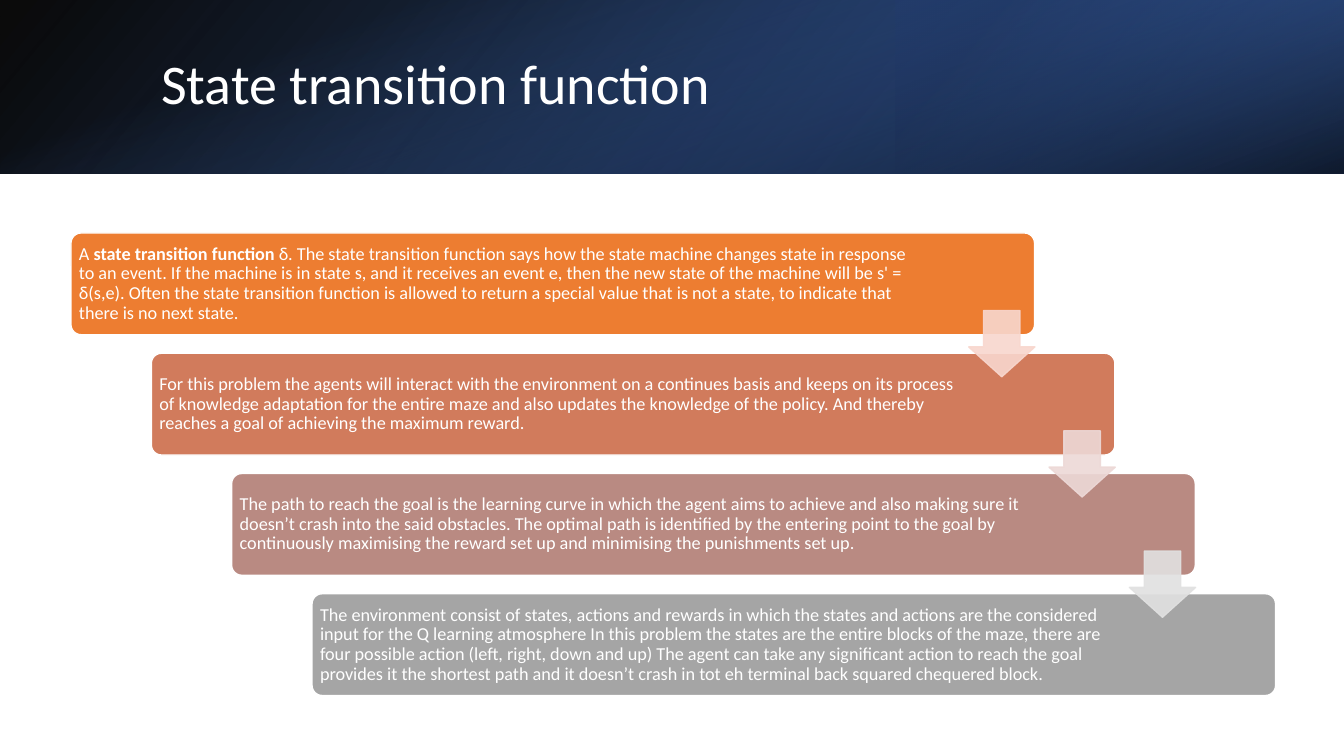
from dataclasses import dataclass

import lxml.etree
import pptx
import pptx.dml.color
import pptx.enum.shapes
import pptx.enum.text
import pptx.oxml.ns
import pptx.util

Pt = pptx.util.Pt
RGBColor = pptx.dml.color.RGBColor
Shapes = pptx.enum.shapes.MSO_SHAPE
qn = pptx.oxml.ns.qn

FONT = "Calibri"
WHITE = RGBColor(0xFF, 0xFF, 0xFF)
BLACK = RGBColor(0x00, 0x00, 0x00)
BLUE = RGBColor(0x44, 0x72, 0xC4)
MID_BLUE = RGBColor(0x2F, 0x55, 0x97)
DARK_BLUE = RGBColor(0x20, 0x38, 0x64)
ORANGE = RGBColor(0xED, 0x7D, 0x31)
TERRACOTTA = RGBColor(0xD1, 0x7B, 0x5C)
DUSTY_ROSE = RGBColor(0xB9, 0x8A, 0x82)
GRAY = RGBColor(0xA5, 0xA5, 0xA5)
PEACH = RGBColor(0xF8, 0xD7, 0xCE)
PALE_ROSE = RGBColor(0xED, 0xD9, 0xD7)
PALE_GRAY = RGBColor(0xE1, 0xE1, 0xE1)

SLIDE_WIDTH, SLIDE_HEIGHT = 960, 540
BANNER_HEIGHT = 124
STEP_LEFT, STEP_TOP = 50.7, 166.4
STEP_WIDTH, STEP_HEIGHT = 688.3, 72.7
STEP_RIGHT, STEP_DOWN = 57.4, 85.9
TEXT_OFFSET = 2.1
ARROW_LEFT, ARROW_TOP, ARROW_SIZE = 691.9, 221.8, 47.3


@dataclass
class Stop:
    position: float
    color: RGBColor
    opacity: int


@dataclass
class BannerLayer:
    left: float
    top: float
    width: float
    height: float
    rotation: int
    flipped: bool
    angle: int
    stops: tuple[Stop, Stop]


@dataclass
class Step:
    color: RGBColor
    text_width: float
    text: str
    bold: str = ""
    arrow_color: RGBColor | None = None


BANNER = [
    BannerLayer(0, 0, SLIDE_WIDTH, BANNER_HEIGHT, 0, True, 140,
                (Stop(0, BLACK, 96), Stop(1, MID_BLUE, 100))),
    BannerLayer(640, 0, 320, BANNER_HEIGHT, 180, True, 320,
                (Stop(0.19, DARK_BLUE, 68), Stop(1, BLUE, 79))),
    BannerLayer((SLIDE_WIDTH - BANNER_HEIGHT) / 2, (BANNER_HEIGHT - SLIDE_WIDTH) / 2,
                BANNER_HEIGHT, SLIDE_WIDTH, 90, False, 340,
                (Stop(0.23, BLUE, 0), Stop(0.99, BLACK, 74))),
]

STEPS = [
    Step(ORANGE, 604,
         "A state transition function δ. The state transition function says how the state "
         "machine changes state in response to an event. If the machine is in state s, and it "
         "receives an event e, then the new state of the machine will be s' = δ(s,e). Often the "
         "state transition function is allowed to return a special value that is not a state, "
         "to indicate that there is no next state.",
         "state transition function", PEACH),
    Step(TERRACOTTA, 580,
         "For this problem the agents will interact with the environment on a continues basis "
         "and keeps on its process of knowledge adaptation for the entire maze and also updates "
         "the knowledge of the policy. And thereby reaches a goal of achieving the maximum "
         "reward.", arrow_color=PALE_ROSE),
    Step(DUSTY_ROSE, 580,
         "The path to reach the goal is the learning curve in which the agent aims to achieve "
         "and also making sure it doesn’t crash into the said obstacles. The optimal path is "
         "identified by the entering point to the goal by continuously maximising the reward "
         "set up and minimising the punishments set up.", arrow_color=PALE_GRAY),
    Step(GRAY, 580,
         "The environment consist of states, actions and rewards in which the states and "
         "actions are the considered input for the Q learning atmosphere In this problem the "
         "states are the entire blocks of the maze, there are four possible action (left, "
         "right, down and up) The agent can take any significant action to reach the goal "
         "provides it the shortest path and it doesn’t crash in tot eh terminal back squared "
         "chequered block."),
]


def set_opacity(color_element, percent: int) -> None:
    alpha = lxml.etree.SubElement(color_element, qn("a:alpha"))
    alpha.set("val", str(percent * 1000))


def add_shape(slide, kind, left: float, top: float, width: float, height: float):
    shape = slide.shapes.add_shape(kind, Pt(left), Pt(top), Pt(width), Pt(height))
    shape.shadow.inherit = False
    return shape


def paint(shape, fill: RGBColor, line: RGBColor) -> None:
    shape.fill.solid()
    shape.fill.fore_color.rgb = fill
    shape.line.color.rgb = line
    shape.line.width = Pt(1)


def add_banner_layer(slide, layer: BannerLayer) -> None:
    shape = add_shape(slide, Shapes.RECTANGLE, layer.left, layer.top, layer.width, layer.height)
    shape.rotation = layer.rotation
    if layer.flipped:
        shape._element.spPr.find(qn("a:xfrm")).set("flipH", "1")
    shape.line.fill.background()
    shape.fill.gradient()
    shape.fill.gradient_angle = 360 - layer.angle
    for gradient_stop, stop in zip(shape.fill.gradient_stops, layer.stops):
        gradient_stop.position = stop.position
        gradient_stop.color.rgb = stop.color
    colors = shape._element.spPr.find(qn("a:gradFill")).iter(qn("a:srgbClr"))
    for color_element, stop in zip(list(colors), layer.stops):
        set_opacity(color_element, stop.opacity)


def add_text(slide, left: float, top: float, width: float, height: float, text: str,
             size: float, side_inset: float, bold: str = "") -> None:
    text_frame = slide.shapes.add_textbox(Pt(left), Pt(top), Pt(width), Pt(height)).text_frame
    text_frame.word_wrap = True
    text_frame.vertical_anchor = pptx.enum.text.MSO_ANCHOR.MIDDLE
    text_frame.margin_left = text_frame.margin_right = Pt(side_inset)
    text_frame.margin_top = text_frame.margin_bottom = Pt(3.6)
    paragraph = text_frame.paragraphs[0]
    paragraph.line_spacing = 0.9
    for part in text.partition(bold) if bold else [text]:
        run = paragraph.add_run()
        run.text = part
        run.font.name = FONT
        run.font.size = Pt(size)
        run.font.color.rgb = WHITE
        run.font.bold = part == bold


def add_step(slide, index: int, step: Step) -> None:
    left, top = STEP_LEFT + index * STEP_RIGHT, STEP_TOP + index * STEP_DOWN
    box = add_shape(slide, Shapes.ROUNDED_RECTANGLE, left, top, STEP_WIDTH, STEP_HEIGHT)
    box.adjustments[0] = 0.1
    paint(box, step.color, WHITE)
    add_text(slide, left + TEXT_OFFSET, top + TEXT_OFFSET, step.text_width,
             STEP_HEIGHT - 2 * TEXT_OFFSET, step.text, 13, 3.6, step.bold)


def add_arrow(slide, index: int, color: RGBColor) -> None:
    arrow = add_shape(slide, Shapes.DOWN_ARROW, ARROW_LEFT + index * STEP_RIGHT,
                      ARROW_TOP + index * STEP_DOWN, ARROW_SIZE, ARROW_SIZE)
    arrow.adjustments[0] = 0.55
    arrow.adjustments[1] = 0.45
    paint(arrow, color, color)
    for color_element in list(arrow._element.spPr.iter(qn("a:srgbClr"))):
        set_opacity(color_element, 90)


def main() -> None:
    presentation = pptx.Presentation()
    presentation.slide_width = Pt(SLIDE_WIDTH)
    presentation.slide_height = Pt(SLIDE_HEIGHT)
    slide = presentation.slides.add_slide(presentation.slide_layouts[6])

    # Banner and title
    for layer in BANNER:
        add_banner_layer(slide, layer)
    add_text(slide, 108, 27.4, 790.6, 69.1, "State transition function", 40, 7.2)

    # Staircase of steps, then the arrows on top
    for index, step in enumerate(STEPS):
        add_step(slide, index, step)
    for index, step in enumerate(STEPS):
        if step.arrow_color is not None:
            add_arrow(slide, index, step.arrow_color)

    presentation.save("out.pptx")


if __name__ == "__main__":
    main()
